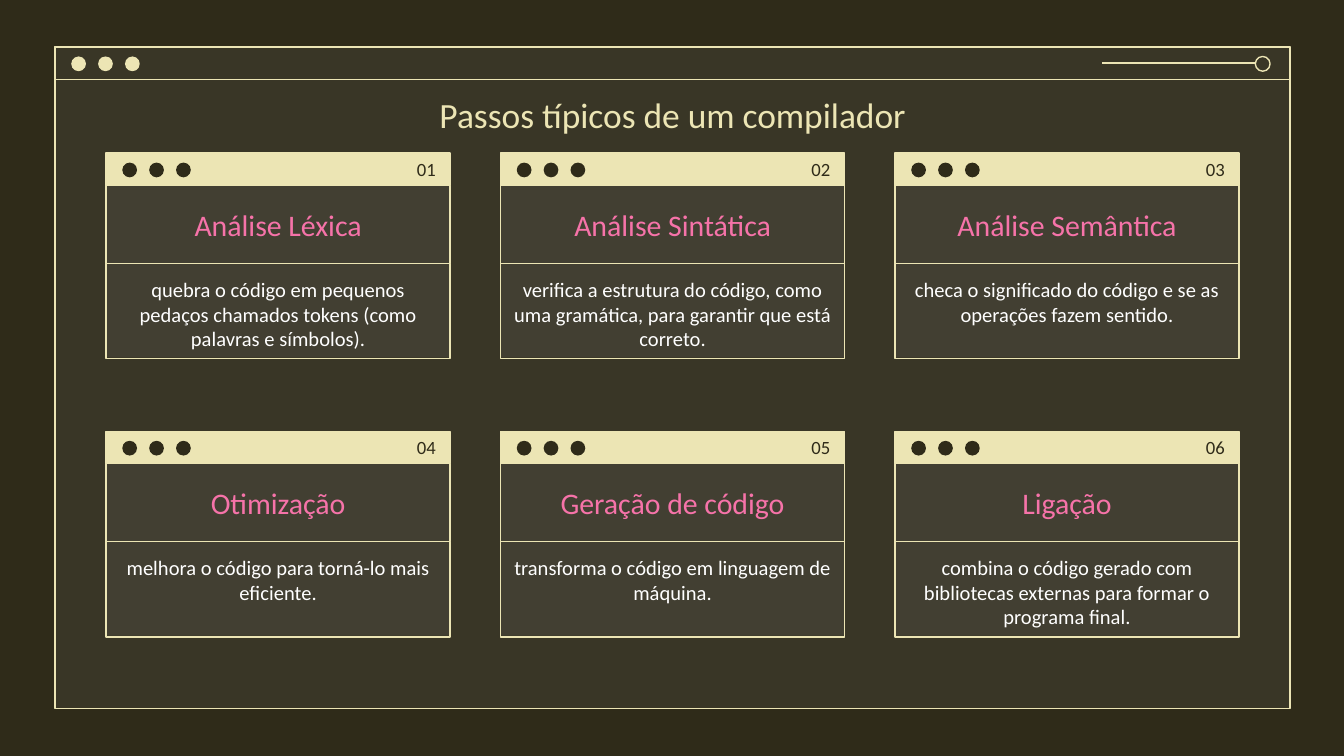
from typing import NamedTuple, Optional

from lxml import etree
from pptx import Presentation
from pptx.dml.color import RGBColor
from pptx.enum.shapes import MSO_CONNECTOR, MSO_SHAPE
from pptx.enum.text import MSO_ANCHOR as Anchor, PP_ALIGN as Align
from pptx.oxml.ns import qn
from pptx.util import Inches, Pt

DARK, CREAM, PINK, WHITE, GREY = "2F2B19", "ECE5B4", "F673A9", "FFFFFF", "7C7C7C"
FONT = "Calibri"
LINE_WIDTH = 0.75
BAR_HEIGHT, DOT_SIZE, DOT_PITCH = 0.24, 0.11, 0.2
CARD_WIDTH, HEADING_HEIGHT, BODY_HEIGHT = 2.56, 0.58, 0.71
CARD_LEFT, CARD_TOP = 0.79, 1.14
COLUMN_PITCH, ROW_PITCH, COLUMNS = 2.935, 2.07, 3
NUMBER_WIDTH = 1.39


class Box(NamedTuple):
    left: float
    top: float
    width: float
    height: float


class Step(NamedTuple):
    heading: str
    body: str


STEPS = [
    Step("Análise Léxica",
         "quebra o código em pequenos pedaços chamados tokens (como palavras e símbolos)."),
    Step("Análise Sintática",
         "verifica a estrutura do código, como uma gramática, para garantir que está correto."),
    Step("Análise Semântica",
         "checa o significado do código e se as operações fazem sentido."),
    Step("Otimização", "melhora o código para torná-lo mais eficiente."),
    Step("Geração de código", "transforma o código em linguagem de máquina."),
    Step("Ligação",
         "combina o código gerado com bibliotecas externas para formar o programa final."),
]


def color(hex_code: str) -> RGBColor:
    return RGBColor.from_string(hex_code)


def add_outline(shapes, box: Box, *, kind=MSO_SHAPE.RECTANGLE, fill: Optional[str] = None,
                line: Optional[str] = None, opacity: int = 100):
    """Add a preset shape; opacity is the fill's percentage."""
    shape = shapes.add_shape(kind, *map(Inches, box))
    shape.shadow.inherit = False
    if fill:
        shape.fill.solid()
        shape.fill.fore_color.rgb = color(fill)
        if opacity < 100:
            rgb = shape.fill._xPr.find(qn("a:solidFill")).find(qn("a:srgbClr"))
            etree.SubElement(rgb, qn("a:alpha"), val=str(opacity * 1000))
    else:
        shape.fill.background()
    if line:
        shape.line.color.rgb = color(line)
        shape.line.width = Pt(LINE_WIDTH)
    else:
        shape.line.fill.background()
    return shape


def write(shape, text: str, *, size: float, ink: str, align=Align.CENTER,
          anchor=Anchor.MIDDLE) -> None:
    frame = shape.text_frame
    frame.word_wrap = True
    frame.vertical_anchor = anchor
    frame.margin_left = frame.margin_right = Inches(0.1)
    frame.margin_top = frame.margin_bottom = Inches(0.1)
    paragraph = frame.paragraphs[0]
    paragraph.alignment = align
    run = paragraph.add_run()
    run.text = text
    run.font.name = FONT
    run.font.size = Pt(size)
    run.font.color.rgb = color(ink)


def add_dots(shapes, left: float, top: float, fill: str) -> None:
    for index in range(3):
        add_outline(shapes, Box(left + index * DOT_PITCH, top, DOT_SIZE, DOT_SIZE),
                    kind=MSO_SHAPE.OVAL, fill=fill)


def add_window(shapes) -> None:
    """Draw the large window frame with its title bar and slider."""
    frame = Box(0.41, 0.35, 9.19, 4.92)
    add_outline(shapes, frame, fill=GREY, opacity=14, line=CREAM)
    add_outline(shapes, frame._replace(height=BAR_HEIGHT), line=CREAM)
    add_dots(shapes, 0.53, 0.42, CREAM)
    add_outline(shapes, Box(9.34, 0.42, DOT_SIZE, DOT_SIZE), kind=MSO_SHAPE.OVAL, line=CREAM)
    slider = shapes.add_connector(MSO_CONNECTOR.STRAIGHT, Inches(8.2), Inches(0.47),
                                  Inches(9.34), Inches(0.47))
    slider.line.color.rgb = color(CREAM)
    slider.line.width = Pt(LINE_WIDTH)
    etree.SubElement(slider._element.spPr, qn("a:effectLst"))


def add_card(shapes, index: int, step: Step) -> None:
    row, column = divmod(index, COLUMNS)
    left = CARD_LEFT + column * COLUMN_PITCH
    top = CARD_TOP + row * ROW_PITCH
    heading_top = top + BAR_HEIGHT
    body_top = heading_top + HEADING_HEIGHT

    add_outline(shapes, Box(left, top, CARD_WIDTH, 1.52), fill=GREY, opacity=14)
    add_outline(shapes, Box(left, top, CARD_WIDTH, BAR_HEIGHT), fill=CREAM, line=CREAM)
    add_dots(shapes, left + 0.12, top + 0.07, DARK)

    heading = add_outline(shapes, Box(left, heading_top, CARD_WIDTH, HEADING_HEIGHT), line=CREAM)
    write(heading, step.heading, size=16, ink=PINK)
    body = add_outline(shapes, Box(left, body_top, CARD_WIDTH, BODY_HEIGHT), line=CREAM)
    write(body, step.body, size=11, ink=WHITE, anchor=Anchor.TOP)

    number = shapes.add_textbox(Inches(left + 1.16), Inches(top),
                                Inches(NUMBER_WIDTH), Inches(BAR_HEIGHT))
    write(number, f"{index + 1:02}", size=10, ink=DARK, align=Align.RIGHT)


def main() -> None:
    deck = Presentation()
    deck.slide_width, deck.slide_height = Inches(10), Inches(5.625)
    slide = deck.slides.add_slide(deck.slide_layouts[6])
    slide.background.fill.solid()
    slide.background.fill.fore_color.rgb = color(DARK)

    add_window(slide.shapes)
    for index, step in enumerate(STEPS):
        add_card(slide.shapes, index, step)
    title = slide.shapes.add_textbox(Inches(1.91), Inches(0.59), Inches(6.19), Inches(0.52))
    write(title, "Passos típicos de um compilador", size=19, ink=CREAM, anchor=Anchor.TOP)

    deck.save("out.pptx")


if __name__ == "__main__":
    main()
